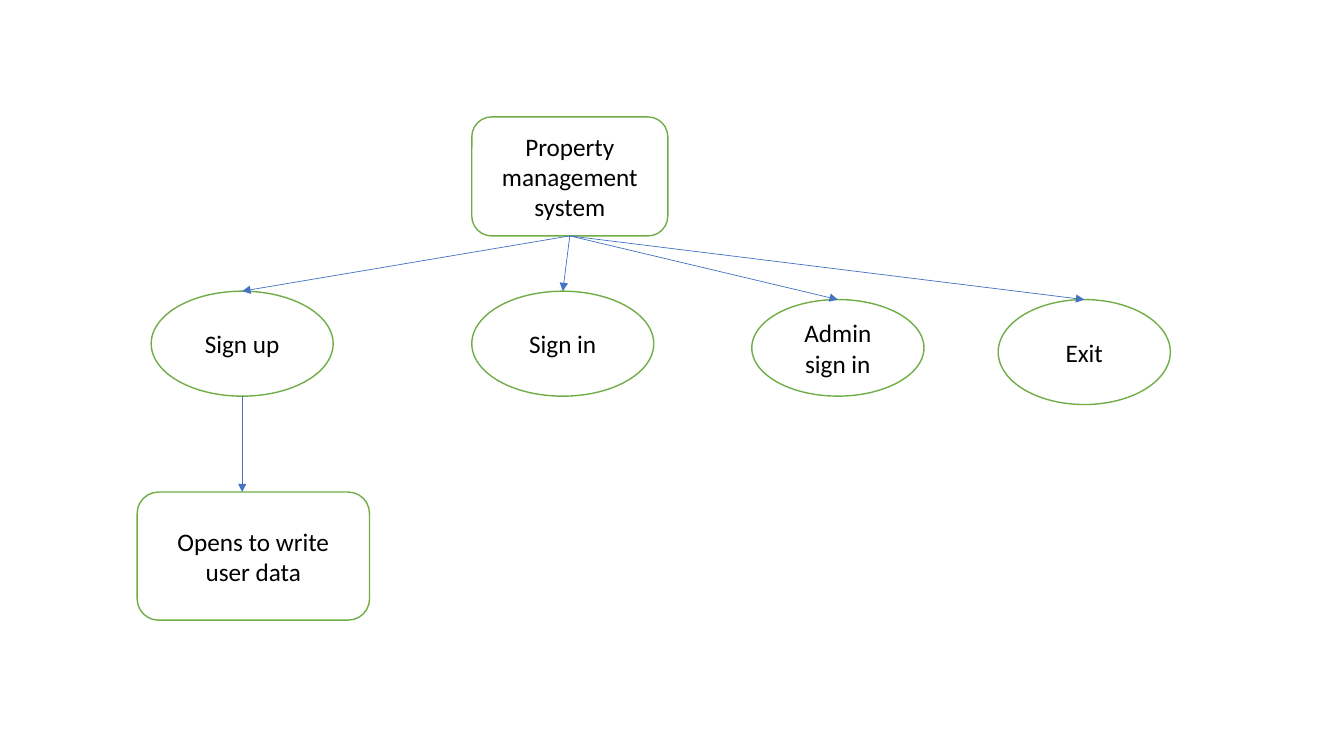
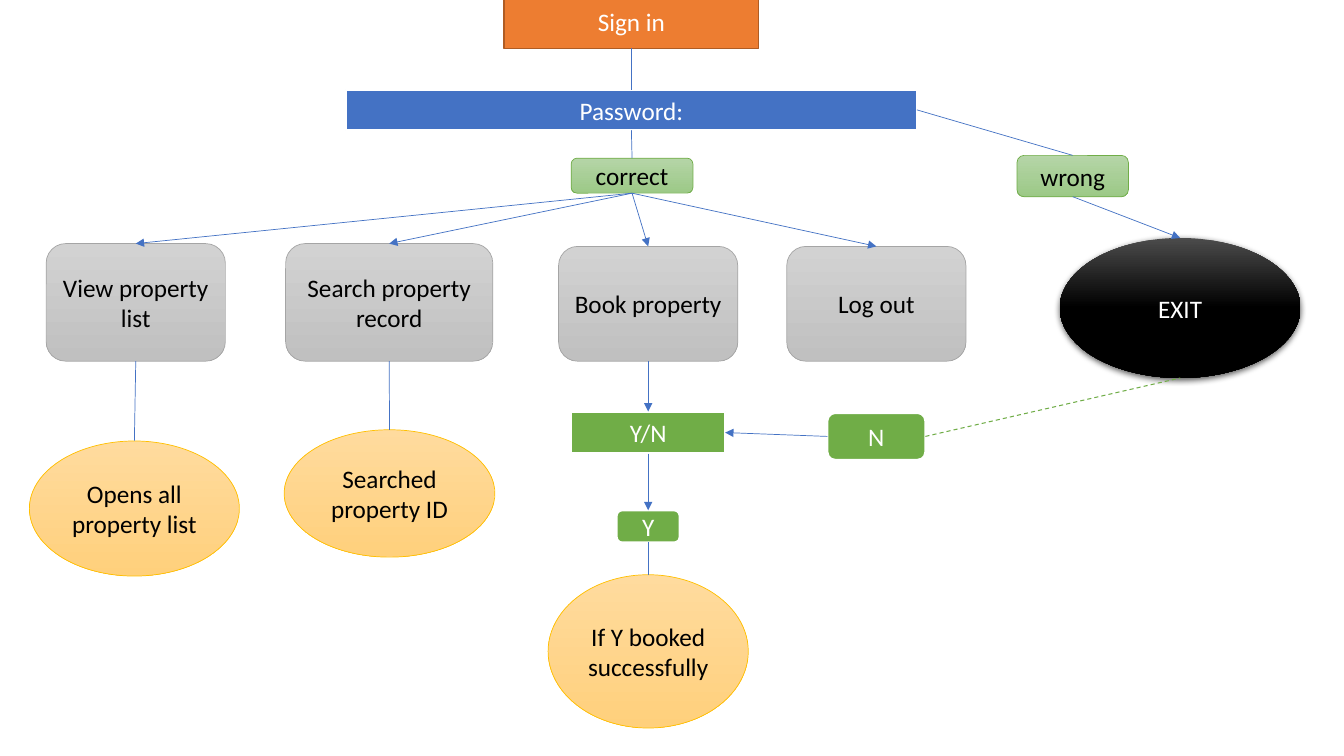
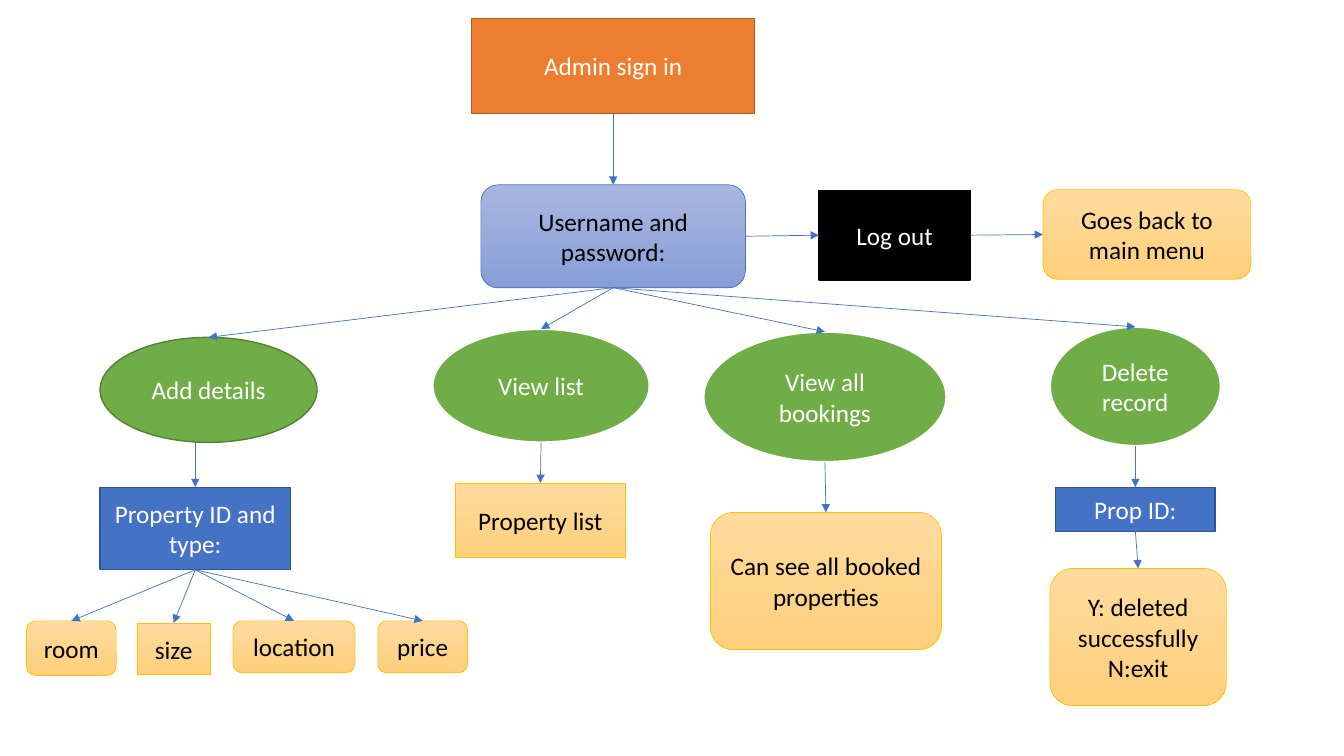
from dataclasses import dataclass
from lxml.etree import SubElement
from pptx import Presentation
from pptx.dml.color import RGBColor
from pptx.enum.dml import MSO_LINE
from pptx.enum.shapes import MSO_CONNECTOR, MSO_SHAPE
from pptx.enum.text import MSO_ANCHOR, PP_ALIGN
from pptx.oxml.ns import qn
from pptx.util import Pt

RECT = MSO_SHAPE.RECTANGLE
ROUND = MSO_SHAPE.ROUNDED_RECTANGLE
OVAL = MSO_SHAPE.OVAL


@dataclass(frozen=True)
class Look:
    """Fill stops, outline and ink of a box."""
    stops: tuple
    edge: str = ""
    width: float = 0.5
    ink: str = "000000"
    reach: float = 1.0
    glow: bool = False


@dataclass(frozen=True)
class Theme:
    """Colours and type shared by all slides."""
    font: str = "Calibri"
    size: int = 18
    wire: str = "4472C4"
    thin: float = 0.5
    dash: str = "70AD47"
    thick: float = 0.75
    plain: Look = Look(("FFFFFF",), "70AD47", 1)
    orange: Look = Look(("ED7D31",), "AF5C24", 1, "FFFFFF")
    gray: Look = Look(("D2D2D2", "C0C0C0"), "A5A5A5")
    gold: Look = Look(("FFDB9E", "FFD07C"), "FFC000")
    mint: Look = Look(("B5D5A7", "9CC987"), "70AD47")
    sky: Look = Look(("A8B7DF", "889ED7"), "4472C4")
    green: Look = Look(("70AD47",), "FFFFFF", 1.5, "FFFFFF")
    forest: Look = Look(("70AD47",), "538035", 1, "FFFFFF")
    blue: Look = Look(("4472C4",), "FFFFFF", 1.5, "FFFFFF")
    navy: Look = Look(("4472C4",), "325491", 1, "FFFFFF")
    black: Look = Look(("000000",), "000000", 1, "FFFFFF")
    night: Look = Look(("4B4B4B", "000000"), ink="FFFFFF", reach=0.5, glow=True)


THEME = Theme()


def tint(color):
    """Turn a hex string into a colour."""
    return RGBColor.from_string(color)


def paint(shape, look):
    """Give a shape its fill, outline and shadow."""
    fill = shape.fill
    if len(look.stops) == 1:
        fill.solid()
        fill.fore_color.rgb = tint(look.stops[0])
    else:
        fill.gradient()
        fill.gradient_angle = 270
        for stop, color, place in zip(fill.gradient_stops, look.stops, (0, look.reach)):
            stop.color.rgb = tint(color)
            stop.position = place
    if look.edge:
        shape.line.color.rgb = tint(look.edge)
        shape.line.width = Pt(look.width)
    else:
        shape.line.fill.background()
    shape.shadow.inherit = False
    if look.glow:
        effect = shape._element.spPr.find(qn("a:effectLst"))
        shade = SubElement(effect, qn("a:outerShdw"), blurRad=str(Pt(4.5)),
                           dist=str(Pt(1.5)), dir="5400000", rotWithShape="0")
        color = SubElement(shade, qn("a:srgbClr"), val="000000")
        SubElement(color, qn("a:alpha"), val="63000")


def box(slide, kind, look, text, *place):
    """Add a labelled shape at left, top, width and height."""
    shape = slide.shapes.add_shape(kind, *(Pt(part) for part in place))
    paint(shape, look)
    frame = shape.text_frame
    frame.word_wrap = True
    frame.vertical_anchor = MSO_ANCHOR.MIDDLE
    frame.text = text
    for para in frame.paragraphs:
        para.alignment = PP_ALIGN.CENTER
        para.font.name = THEME.font
        para.font.size = Pt(THEME.size)
        para.font.color.rgb = tint(look.ink)
    return shape


def spot(shape, side):
    """Return the middle of one side of a shape."""
    across, down = {"top": (1, 0), "left": (0, 1), "bottom": (1, 2), "right": (2, 1)}[side]
    return shape.left + shape.width * across // 2, shape.top + shape.height * down // 2


def glue(line, tag, shape, side):
    """Tie one end of a line to a side of a shape."""
    site = ("top", "left", "bottom", "right").index(side)
    if shape.auto_shape_type == OVAL:
        site *= 2
    SubElement(line._element.nvCxnSpPr.cNvCxnSpPr, qn(tag),
               id=str(shape.shape_id), idx=str(site))


def draw(slide, start, end, arrow=True, dashed=False):
    """Draw a straight line between two points."""
    wire = slide.shapes.add_connector(MSO_CONNECTOR.STRAIGHT, *start, *end)
    wire.line.color.rgb = tint(THEME.dash if dashed else THEME.wire)
    wire.line.width = Pt(THEME.thick if dashed else THEME.thin)
    if dashed:
        wire.line.dash_style = MSO_LINE.DASH
    if arrow:
        SubElement(wire.line._get_or_add_ln(), qn("a:tailEnd"), type="triangle")
    SubElement(wire._element.spPr, qn("a:effectLst"))
    return wire


def link(slide, first, last, out="bottom", into="top", arrow=True, dashed=False):
    """Join the sides of two shapes."""
    wire = draw(slide, spot(first, out), spot(last, into), arrow, dashed)
    glue(wire, "a:stCxn", first, out)
    glue(wire, "a:endCxn", last, into)


def fan(slide, root, leaves):
    """Point arrows from one shape to many."""
    for leaf in leaves:
        link(slide, root, leaf)


def drop(slide, first, last, guide):
    """Draw an upright arrow at the centre of the guide shape."""
    x = spot(guide, "top")[0]
    draw(slide, (x, spot(first, "bottom")[1]), (x, spot(last, "top")[1]))


def menu(slide):
    """Build the main menu chart."""
    look = THEME.plain
    root = box(slide, ROUND, look, "Property management system", 337, 83.5, 140, 85)
    leaves = [box(slide, OVAL, look, *item) for item in (
        ("Sign up", 108, 208, 130, 75),
        ("Sign in", 337, 208, 130, 75),
        ("Admin sign in", 537, 214, 123, 69),
        ("Exit", 713, 214, 123, 75))]
    data = box(slide, ROUND, look, "Opens to write user data", 98, 351.5, 166, 91.5)
    fan(slide, root, leaves)
    drop(slide, leaves[0], data, leaves[0])


def user(slide):
    """Build the user sign in chart."""
    sign = box(slide, RECT, THEME.orange, "Sign in", 360, -4, 182, 38.5)
    code = box(slide, RECT, THEME.blue, "Password:", 247, 64, 408, 29)
    right = box(slide, ROUND, THEME.mint, "correct", 408, 113, 87, 25)
    wrong = box(slide, ROUND, THEME.mint, "wrong", 726.5, 111, 79.5, 29.5)
    tasks = [box(slide, ROUND, THEME.gray, *item) for item in (
        ("View property list", 33, 174, 128, 84),
        ("Search property record", 204, 174, 148, 84),
        ("Book property", 399, 176, 128, 82),
        ("Log out", 562, 176, 128, 82))]
    leave = box(slide, OVAL, THEME.night, "EXIT", 757, 170, 172, 100)
    shown, found, done = [box(slide, OVAL, THEME.gold, *item) for item in (
        ("Opens all property list", 21, 315, 150, 96.5),
        ("Searched property ID", 203, 307, 150.5, 91),
        ("If Y booked successfully", 391.5, 410.5, 143, 109.5))]
    ask = box(slide, RECT, THEME.green, "Y/N", 408, 294, 110, 30)
    no = box(slide, ROUND, THEME.green, "N", 591, 295, 70, 33.5)
    yes = box(slide, ROUND, THEME.green, "Y", 440.5, 364.5, 45, 23)
    for first, last in ((sign, code), (code, right), (tasks[0], shown),
                        (tasks[1], found), (yes, done)):
        link(slide, first, last, arrow=False)
    fan(slide, right, tasks)
    for first, last in ((tasks[2], ask), (ask, yes), (wrong, leave)):
        link(slide, first, last)
    link(slide, code, wrong, "right", arrow=False)
    link(slide, no, ask, "left", "right")
    link(slide, no, leave, "right", "bottom", arrow=False, dashed=True)


def admin(slide):
    """Build the admin sign in chart."""
    sign = box(slide, RECT, THEME.orange, "Admin sign in", 337, 13, 202, 68)
    code = box(slide, ROUND, THEME.sky, "Username and password:", 343.5, 132, 189, 73.5)
    leave = box(slide, RECT, THEME.black, "Log out", 585, 136, 108, 64)
    home = box(slide, ROUND, THEME.gold, "Goes back to main menu", 745, 135.5, 148.5, 64)
    tasks = [box(slide, OVAL, *item) for item in (
        (THEME.forest, "Add details", 71.5, 241, 155, 75),
        (THEME.green, "View list", 309, 235, 155, 81),
        (THEME.green, "View all bookings", 502.5, 237, 173.5, 93),
        (THEME.green, "Delete record", 750, 233.5, 122, 85))]
    kind = box(slide, RECT, THEME.navy, "Property ID and type:", 71.5, 348, 136, 59)
    prop = box(slide, RECT, THEME.navy, "Prop ID:", 754, 348, 114, 31.5)
    parts = [box(slide, shape, THEME.gold, *item) for shape, *item in (
        (ROUND, "room", 19, 443.5, 64, 39),
        (RECT, "size", 98, 445, 52, 37),
        (ROUND, "location", 166.5, 443.5, 87, 37),
        (ROUND, "price", 270, 443.5, 64, 37))]
    shown = box(slide, RECT, THEME.gold, "Property list", 325, 345, 122, 53.5)
    booked = box(slide, ROUND, THEME.gold, "Can see all booked properties",
                 507.5, 366, 165, 98)
    gone = box(slide, ROUND, THEME.gold, "Y: deleted successfully\nN:exit",
               750, 406, 126, 98)
    link(slide, sign, code)
    fan(slide, code, tasks)
    for first, last in ((code, leave), (leave, home)):
        link(slide, first, last, "right", "left")
    drop(slide, tasks[0], kind, kind)
    fan(slide, kind, parts)
    for first, last in (*zip(tasks[1:], (shown, booked, prop)), (prop, gone)):
        link(slide, first, last)


def main():
    """Build and save the deck."""
    deck = Presentation()
    deck.slide_width, deck.slide_height = Pt(960), Pt(540)
    for build in (menu, user, admin):
        build(deck.slides.add_slide(deck.slide_layouts[6]))
    deck.save("out.pptx")


if __name__ == "__main__":
    main()
